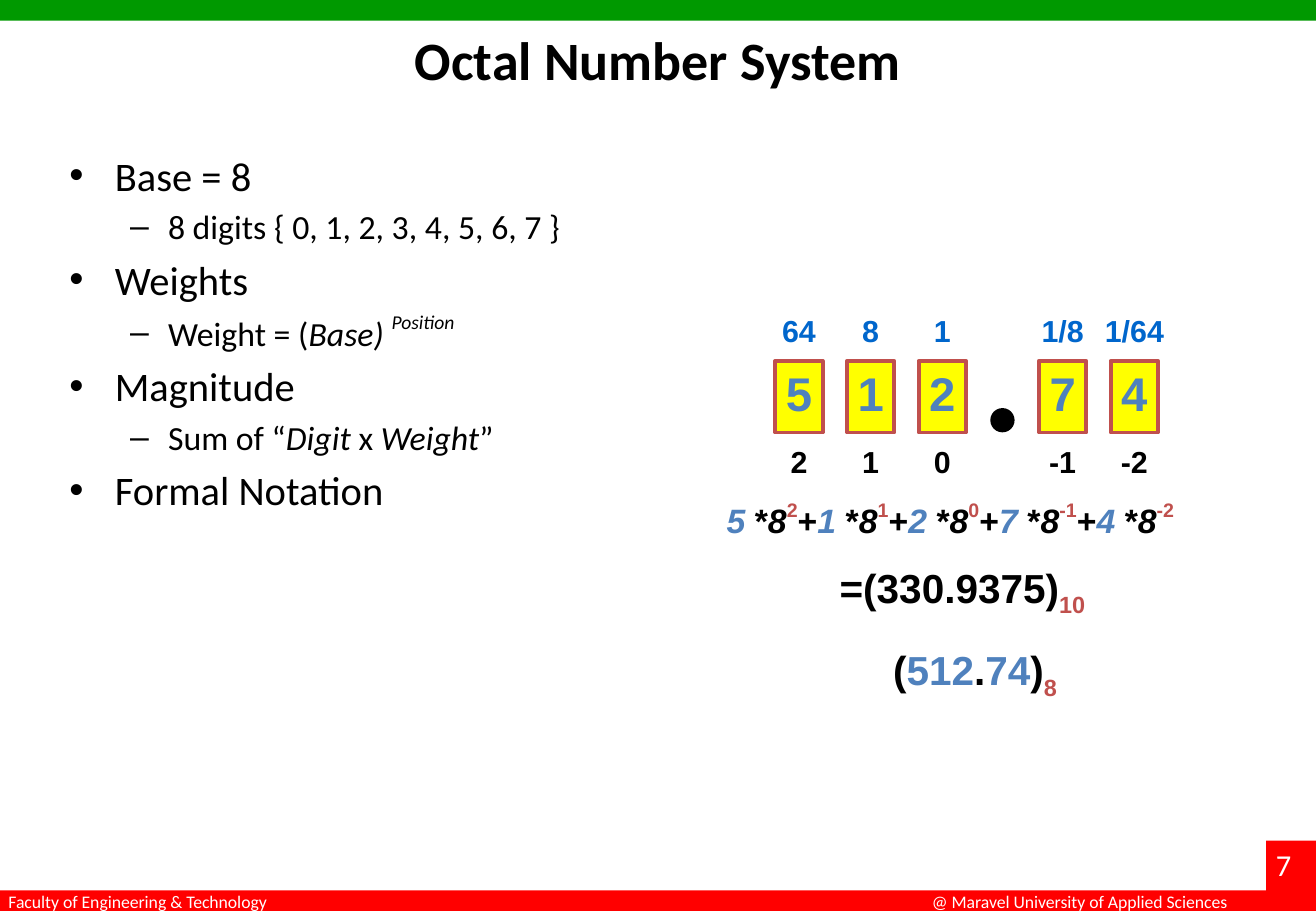
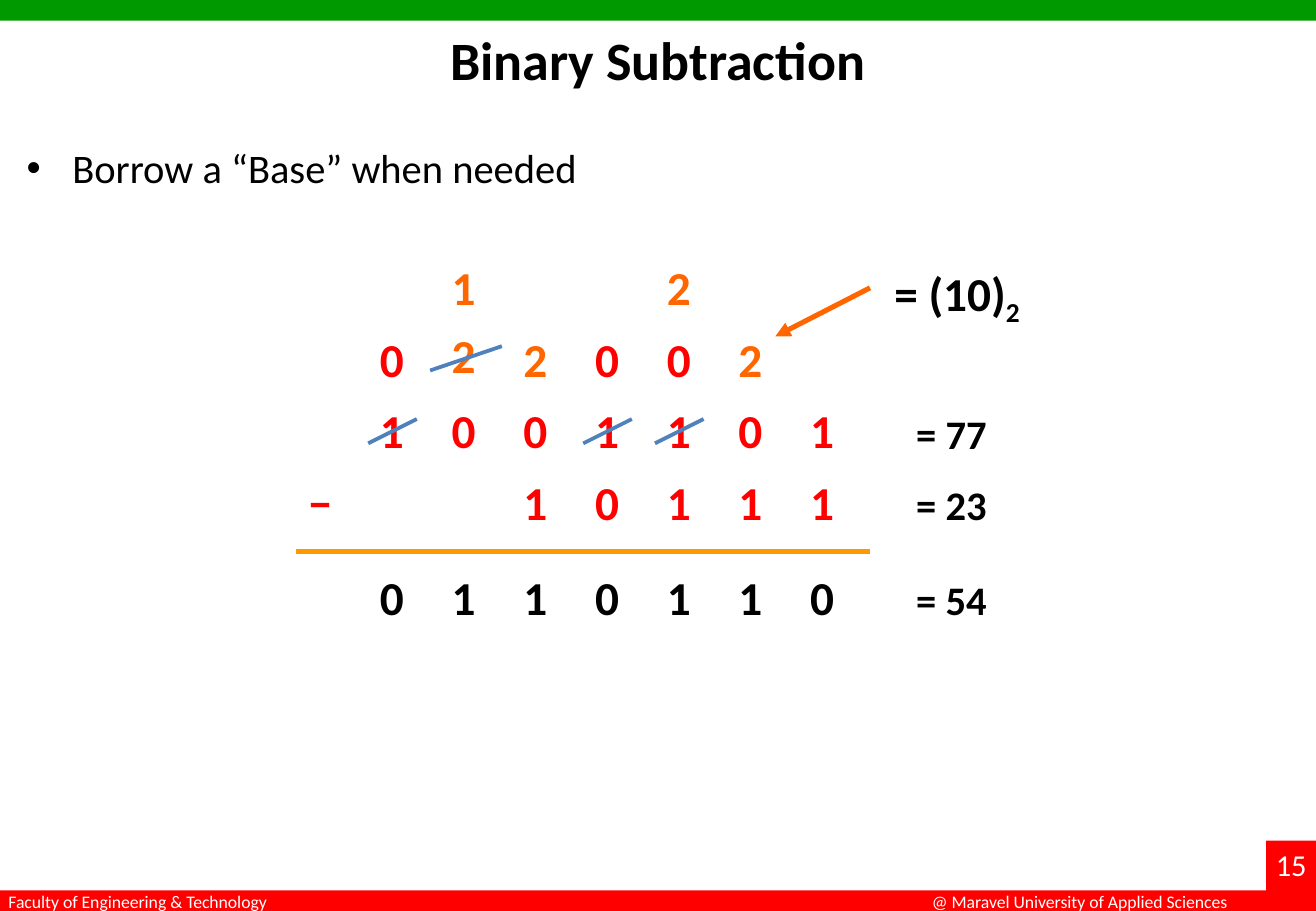
from lxml.etree import SubElement
from pptx import Presentation
from pptx.dml.color import RGBColor
from pptx.enum.shapes import MSO_CONNECTOR, MSO_SHAPE
from pptx.enum.text import MSO_ANCHOR, PP_ALIGN
from pptx.oxml.ns import qn
from pptx.util import Inches, Pt

color = RGBColor.from_string
BLACK, WHITE, RED, GREEN = "000000", "FFFFFF", "FF0000", "009900"
BLUE, BRICK, YELLOW, ORANGE = "4F81BD", "C0504D", "FFFF00", "FF6600"
WEIGHT_BLUE, RULE_ORANGE = "0066CC", "FF9900"
SUPER, SUB = 50, -25


def add_runs(paragraph, runs, size, font, bold=True):
    for text, hex_color, baseline, italic in runs:
        run = paragraph.add_run()
        run.text = text
        run.font.name = font
        run.font.size = Pt(size)
        run.font.bold = bold
        run.font.italic = italic
        run.font.color.rgb = color(hex_color)
        if baseline:
            run._r.get_or_add_rPr().set("baseline", str(baseline * 1000))


def add_text(slide, left, top, width, runs, size, font="Calibri",
             align=PP_ALIGN.CENTER, bold=True):
    shape = slide.shapes.add_textbox(
        Inches(left), Inches(top), Inches(width), Inches(size / 66))
    frame = shape.text_frame
    frame.word_wrap = True
    frame.margin_left = frame.margin_right = 0
    frame.margin_top = frame.margin_bottom = 0
    paragraph = frame.paragraphs[0]
    paragraph.alignment = align
    paragraph.line_spacing = 0.9
    add_runs(paragraph, runs, size, font, bold)
    return shape


presentation = Presentation()
presentation.slide_width = Inches(10.83)
presentation.slide_height = Inches(7.5)
layout = presentation.slide_layouts[1]
for placeholder in list(layout.placeholders)[2:]:
    layout.shapes.element.remove(placeholder.element)

pages = [
    ("Octal Number System", "7", (0.47, 1.19, 9.06, 4.42), [
        (0, [("Base = 8", BLACK, 0, False)]),
        (1, [("8 digits { 0, 1, 2, 3, 4, 5, 6, 7 }", BLACK, 0, False)]),
        (0, [("Weights", BLACK, 0, False)]),
        (1, [("Weight = (", BLACK, 0, False), ("Base) ", BLACK, 0, True),
             ("Position", BLACK, SUPER, True)]),
        (0, [("Magnitude", BLACK, 0, False)]),
        (1, [("Sum of “", BLACK, 0, False), ("Digit", BLACK, 0, True),
             (" x ", BLACK, 0, False), ("Weight", BLACK, 0, True),
             ("”", BLACK, 0, False)]),
        (0, [("Formal Notation", BLACK, 0, False)]),
    ]),
    ("Binary Subtraction", "15", (0.12, 1.13, 9.37, 0.87), [
        (0, [("Borrow a “Base” when needed", BLACK, 0, False)]),
    ]),
]

slides = []
for heading, number, body_box, items in pages:
    slide = presentation.slides.add_slide(layout)
    slides.append(slide)
    title, body = slide.placeholders
    for shape, box in ((title, (0.54, 0.17, 9.75, 1.25)), (body, body_box)):
        shape.left, shape.top, shape.width, shape.height = map(Inches, box)
        shape.text_frame.vertical_anchor = MSO_ANCHOR.TOP
    paragraph = title.text_frame.paragraphs[0]
    paragraph.alignment = PP_ALIGN.CENTER
    add_runs(paragraph, [(heading, BLACK, 0, False)], 32, "Calibri")
    for index, (level, runs) in enumerate(items):
        frame = body.text_frame
        paragraph = frame.add_paragraph() if index else frame.paragraphs[0]
        paragraph.level = level
        add_runs(paragraph, runs, 24 - 4 * level, "Calibri", bold=False)
    add_text(slide, 10.5, 7, 0.33, [(number, WHITE, 0, False)], 18,
             align=PP_ALIGN.LEFT, bold=False)

octal, binary = slides

shared = []
for left, top, width, height, fill in (
        (0, 0, 10.83, 0.17, GREEN),
        (0, 7.33, 10.83, 0.17, RED),
        (10.42, 6.92, 0.41, 0.58, RED)):
    band = octal.shapes.add_shape(
        MSO_SHAPE.RECTANGLE, Inches(left), Inches(top), Inches(width), Inches(height))
    band.shadow.inherit = False
    band.fill.solid()
    band.fill.fore_color.rgb = color(fill)
    band.line.fill.background()
    shared.append(band)
for left, text in (
        (0.07, "Faculty of Engineering & Technology"),
        (7.67, "@ Maravel University of Applied Sciences")):
    shared.append(add_text(octal, left, 7.35, 2.7, [(text, WHITE, 0, False)],
                           10.5, align=PP_ALIGN.LEFT, bold=False))
for shape in shared:
    layout.shapes.element.append(shape.element)

STEP, CELL = 0.59, 0.39
formula = []
columns = (("5", "2", "64"), ("1", "1", "8"), ("2", "0", "1"),
           ("7", "-1", "1/8"), ("4", "-2", "1/64"))
for index, (digit, position, weight) in enumerate(columns):
    left = 6.38 + STEP * index + (0.4 if index > 2 else 0)
    box = octal.shapes.add_shape(
        MSO_SHAPE.RECTANGLE, Inches(left), Inches(2.97), Inches(CELL), Inches(0.59))
    box.shadow.inherit = False
    box.fill.solid()
    box.fill.fore_color.rgb = color(YELLOW)
    box.line.color.rgb = color(BRICK)
    box.line.width = Pt(2.25)
    frame = box.text_frame
    frame.margin_left = frame.margin_right = 0
    frame.margin_top = frame.margin_bottom = 0
    frame.vertical_anchor = MSO_ANCHOR.MIDDLE
    paragraph = frame.paragraphs[0]
    paragraph.alignment = PP_ALIGN.CENTER
    paragraph.line_spacing = 0.9
    add_runs(paragraph, [(digit, BLUE, 0, False)], 28, "Arial")
    for top, text, hex_color in ((2.6, weight, WEIGHT_BLUE), (3.68, position, BLACK)):
        add_text(octal, left - 0.1, top, STEP, [(text, hex_color, 0, False)], 18, "Arial")
    if index:
        formula.append(("+", BLACK, 0, False))
    formula += [(digit + " ", BLUE, 0, True), ("*", BLACK, 0, False),
                ("8", BLACK, 0, True), (position, BRICK, SUPER, False)]

point = octal.shapes.add_shape(
    MSO_SHAPE.OVAL, Inches(8.15), Inches(3.36), Inches(0.2), Inches(0.2))
point.shadow.inherit = False
point.fill.solid()
point.fill.fore_color.rgb = color(BLACK)
point.line.fill.background()

decimal = [("=(330.9375)", BLACK, 0, False), ("10", BRICK, SUB, False)]
notation = [("(", BLACK, 0, False), ("512", BLUE, 0, False), (".", BLACK, 0, False),
            ("74", BLUE, 0, False), (")", BLACK, 0, False), ("8", BRICK, SUB, False)]
for left, top, width, runs, size in (
        (5.98, 4.14, 3.94, formula, 20),
        (6.91, 4.64, 3, decimal, 24),
        (7.35, 5.32, 2, notation, 24)):
    add_text(octal, left, top, width, runs, size, "Arial", PP_ALIGN.LEFT)

digit_rows = (
    (2.18, "  1  2", ORANGE),
    (2.74, "  2", ORANGE),
    (2.77, "   2  2", ORANGE),
    (2.77, " 0  00", RED),
    (3.36, " 1001101", RED),
    (3.95, "−  10111", RED),
    (4.73, " 0110110", BLACK),
)
for top, digits, hex_color in digit_rows:
    for column, digit in enumerate(digits):
        if digit != " ":
            add_text(binary, 2.44 + STEP * column, top, CELL,
                     [(digit, hex_color, 0, False)], 28)

for top, text in ((3.41, "= 77"), (4, "= 23"), (4.78, "= 54")):
    add_text(binary, 7.36, top, 0.94, [(text, BLACK, 0, False)], 24)
add_text(binary, 7.36, 2.18, 1.38,
         [("= (10)", BLACK, 0, False), ("2", BLACK, SUB, False)], 28,
         align=PP_ALIGN.LEFT)

strikes = [(left, 3.65, left + 0.4, 3.45, BLUE, 2.25, False)
           for left in (3.03, 4.8, 5.39)]
for x1, y1, x2, y2, hex_color, width, arrow in strikes + [
        (3.54, 3.05, 4.13, 2.85, BLUE, 2.25, False),
        (7.16, 4.54, 2.44, 4.54, RULE_ORANGE, 3, False),
        (7.16, 2.37, 6.38, 2.77, ORANGE, 3, True)]:
    line = binary.shapes.add_connector(
        MSO_CONNECTOR.STRAIGHT, Inches(x1), Inches(y1), Inches(x2), Inches(y2))
    line.line.color.rgb = color(hex_color)
    line.line.width = Pt(width)
    properties = line.element.spPr
    if arrow:
        SubElement(properties.find(qn("a:ln")), qn("a:tailEnd"), type="triangle")
    SubElement(properties, qn("a:effectLst"))

presentation.save("out.pptx")
